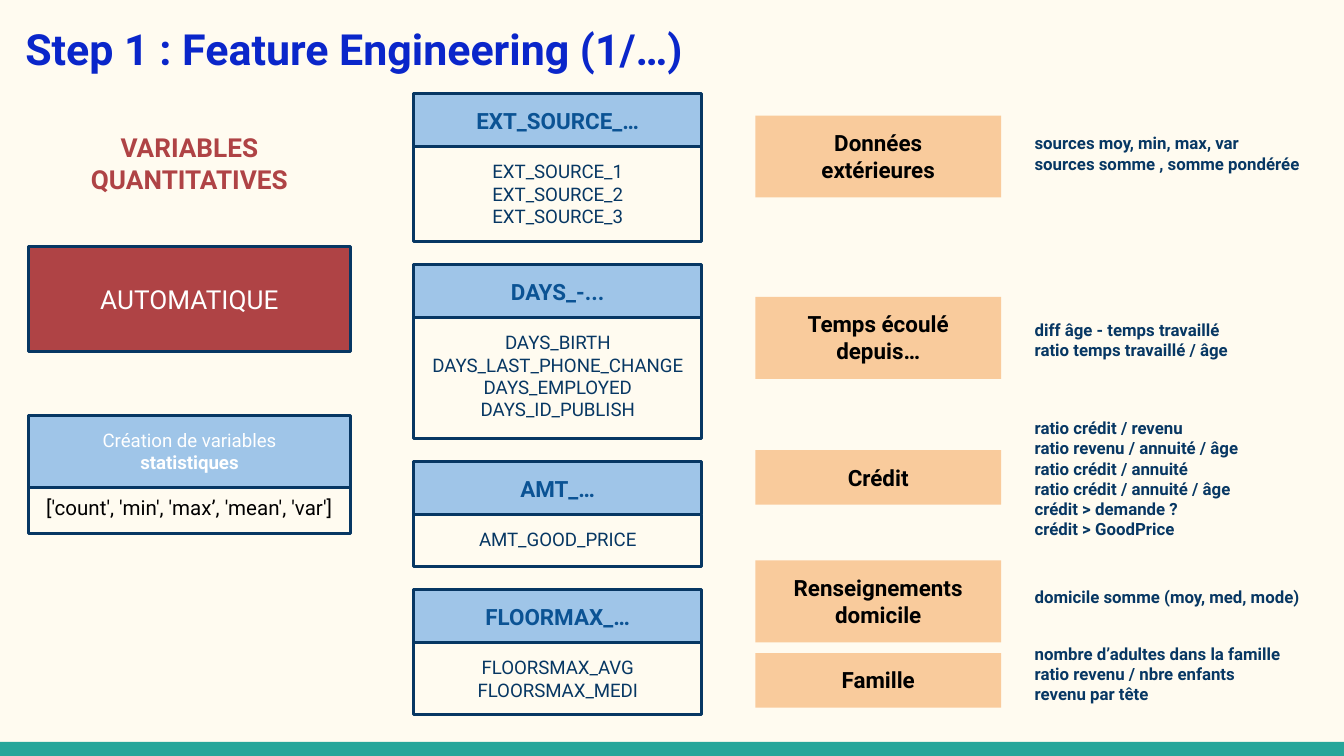
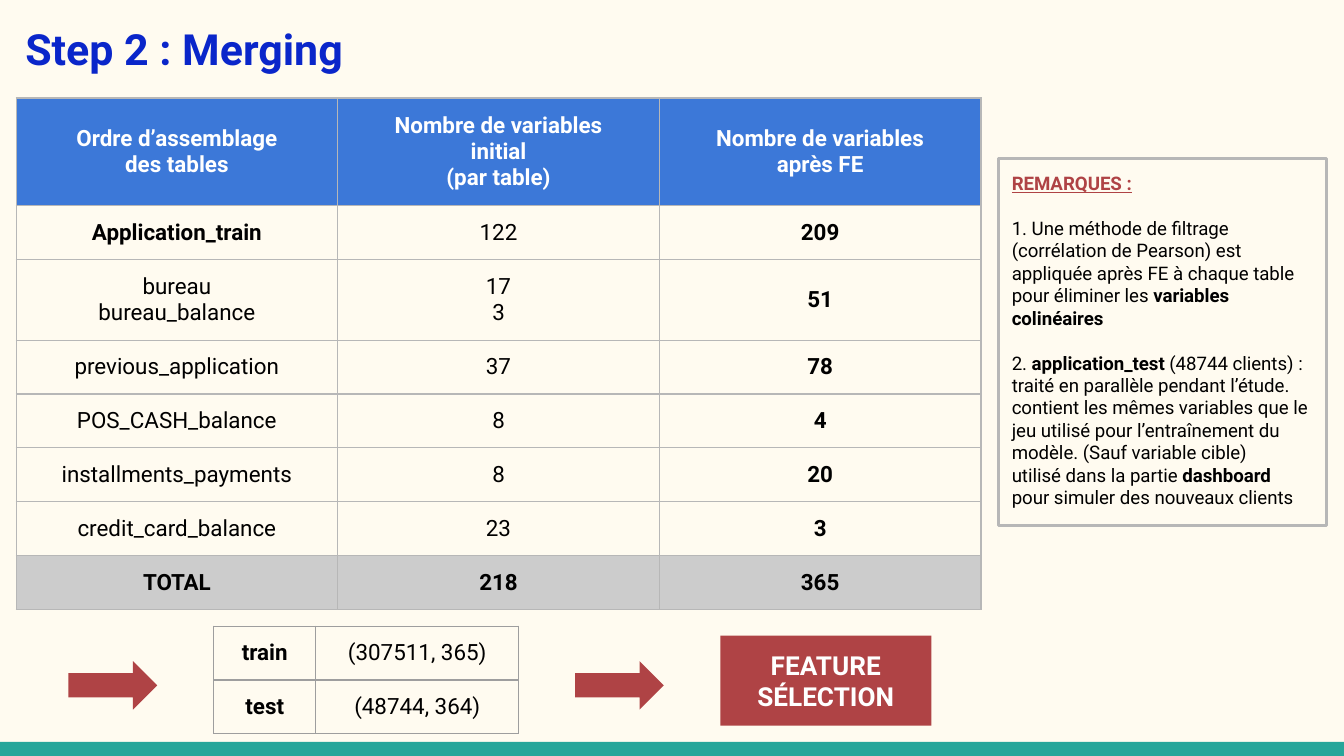
from dataclasses import dataclass, replace
from typing import NamedTuple, Optional

from lxml import etree
from pptx import Presentation, slide as sl, table as tb
from pptx import util as u
from pptx.dml.color import RGBColor
from pptx.enum import shapes, text
from pptx.oxml import ns
from pptx.shapes import autoshape, shapetree
from pptx.text import text as tx

# Grid: 100 columns by 56.25 rows on a 10 x 5.625 inch slide
COLUMNS, ROWS = 100, 56.25
UNIT = u.Inches(10) // COLUMNS

CREAM = RGBColor(0xFF, 0xFB, 0xF0)
TEAL = RGBColor(0x26, 0xA6, 0x9A)
TITLE_BLUE = RGBColor(0x0A, 0x26, 0xCA)
NAVY = RGBColor(0x07, 0x37, 0x63)
MID_BLUE = RGBColor(0x0B, 0x53, 0x94)
SKY = RGBColor(0x9F, 0xC5, 0xE8)
HEADER_BLUE = RGBColor(0x3C, 0x78, 0xD8)
BRICK = RGBColor(0xAF, 0x43, 0x45)
PEACH = RGBColor(0xF9, 0xCB, 0x9C)
SILVER = RGBColor(0xB7, 0xB7, 0xB7)
GREY = RGBColor(0x9E, 0x9E, 0x9E)
TOTAL_GREY = RGBColor(0xCC, 0xCC, 0xCC)
WHITE = RGBColor(0xFF, 0xFF, 0xFF)
BLACK = RGBColor(0, 0, 0)

LEFT, CENTER = text.PP_ALIGN.LEFT, text.PP_ALIGN.CENTER
TOP, MIDDLE = text.MSO_ANCHOR.TOP, text.MSO_ANCHOR.MIDDLE
RECTANGLE = shapes.MSO_SHAPE.RECTANGLE
ARROW = shapes.MSO_SHAPE.RIGHT_ARROW
MARGINS = ("margin_left", "margin_right", "margin_top", "margin_bottom")


class Area(NamedTuple):
    column: float
    row: float
    columns: float
    rows: float

    def lengths(self) -> tuple[int, ...]:
        return tuple(round(value * UNIT) for value in self)


@dataclass(frozen=True)
class Style:
    size: float
    color: RGBColor
    bold: bool = False
    align: text.PP_ALIGN = CENTER
    anchor: text.MSO_ANCHOR = TOP


@dataclass(frozen=True)
class Card:
    heading: str
    variables: tuple[str, ...]
    body_rows: float


@dataclass(frozen=True)
class Theme:
    label: tuple[str, ...]
    label_row: float
    features: tuple[str, ...]
    features_row: float
    features_columns: float


TITLE = Style(23, TITLE_BLUE, True, LEFT)
CARD_HEADING = Style(12, MID_BLUE, True)
CARD_BODY = Style(10, NAVY)
THEME_LABEL = Style(12, BLACK, True)
FEATURES = Style(9, NAVY, True, LEFT)
REMARKS_STYLE = Style(10, BLACK, False, LEFT)
CELL = Style(12, BLACK, False, CENTER, MIDDLE)
CALLOUT = Style(14, WHITE, True)

CARDS = (
    Card("EXT_SOURCE_…", ("EXT_SOURCE_1", "EXT_SOURCE_2", "EXT_SOURCE_3"), 7.1),
    Card("DAYS_-...", ("DAYS_BIRTH", "DAYS_LAST_PHONE_CHANGE", "DAYS_EMPLOYED",
                       "DAYS_ID_PUBLISH"), 9),
    Card("AMT_…", ("AMT_GOOD_PRICE",), 3.93),
    Card("FLOORMAX_…", ("FLOORSMAX_AVG", "FLOORSMAX_MEDI"), 5.35),
)

THEMES = (
    Theme(("Données", "extérieures"), 8.6,
          ("sources moy, min, max, var", "sources somme , somme pondérée"), 8.9, 23.3),
    Theme(("Temps écoulé", "depuis…"), 22.1,
          ("diff âge - temps travaillé", "ratio temps travaillé / âge"), 22.8, 20.6),
    Theme(("Crédit",), 33.5,
          ("ratio crédit / revenu", "ratio revenu / annuité / âge",
           "ratio crédit / annuité", "ratio crédit / annuité / âge",
           "crédit > demande ?", "crédit > GoodPrice"), 30.1, 20.6),
    Theme(("Renseignements", "domicile"), 41.7,
          ("domicile somme (moy, med, mode)",), 42.9, 24),
    Theme(("Famille",), 48.6,
          ("nombre d’adultes dans la famille", "ratio revenu / nbre enfants",
           "revenu par tête"), 46.9, 22.5),
)

# Cell lines are split at "\n"; text between ** pairs is bold
MERGE_ROWS = (
    ("**Ordre d’assemblage**\n**des tables**",
     "**Nombre de variables**\n**initial**\n**(par table)**",
     "**Nombre de variables**\n**après FE**"),
    ("**Application_train**", "122", "**209**"),
    ("bureau\nbureau_balance", "17\n3", "**51**"),
    ("previous_application", "37", "**78**"),
    ("POS_CASH_balance", "8", "**4**"),
    ("installments_payments", "8", "**20**"),
    ("credit_card_balance", "23", "**3**"),
    ("**TOTAL**", "**218**", "**365**"),
)
SHAPE_ROWS = (("**train**", "(307511, 365)"), ("**test**", "(48744, 364)"))

REMARKS = (
    "REMARQUES :",
    "1. Une méthode de filtrage",
    "(corrélation de Pearson) est",
    "appliquée après FE à chaque table",
    "pour éliminer les **variables**",
    "**colinéaires**",
    "2. **application_test **(48744 clients) :",
    "traité en parallèle pendant l’étude.",
    "contient les mêmes variables que le",
    "jeu utilisé pour l’entraînement du",
    "modèle. (Sauf variable cible)",
    "utilisé dans la partie **dashboard**",
    "pour simuler des nouveaux clients",
)


def set_values(target: object, values: dict[str, object]) -> None:
    for name, value in values.items():
        setattr(target, name, value)


def height_of(lines: int, leading: float) -> float:
    """Rows taken by some lines of text and the two insets."""
    return 2 + lines * leading


def write(frame: tx.TextFrame, lines: tuple[str, ...], style: Style) -> None:
    """Write one paragraph a line; text between ** pairs switches weight."""
    for number, line in enumerate(lines):
        paragraph = frame.paragraphs[0] if number == 0 else frame.add_paragraph()
        paragraph.alignment = style.align
        for index, piece in enumerate(line.split("**")):
            if piece:
                run = paragraph.add_run()
                run.text = piece
                set_values(run.font, {"name": "Roboto", "size": u.Pt(style.size),
                                      "bold": style.bold != (index % 2 == 1)})
                run.font.color.rgb = style.color


def write_box(frame: tx.TextFrame, lines: tuple[str, ...], style: Style) -> None:
    set_values(frame, {"word_wrap": True, "vertical_anchor": style.anchor,
                       **dict.fromkeys(MARGINS, UNIT)})
    write(frame, lines, style)


def add_text(slide: sl.Slide, area: Area, lines: tuple[str, ...], style: Style) -> None:
    write_box(slide.shapes.add_textbox(*area.lengths()).text_frame, lines, style)


def add_block(parent: shapetree._BaseGroupShapes, area: Area,
              fill: Optional[RGBColor] = None, line: Optional[RGBColor] = None,
              lines: tuple[str, ...] = (), style: Style = CELL,
              preset: shapes.MSO_SHAPE = RECTANGLE) -> autoshape.Shape:
    block = parent.add_shape(preset, *area.lengths())
    block.shadow.inherit = False
    if fill is None:
        block.fill.background()
    else:
        block.fill.solid()
        block.fill.fore_color.rgb = fill
    if line is None:
        block.line.fill.background()
    else:
        block.line.color.rgb = line
        block.line.width = u.Pt(1.5)
    if lines:
        write_box(block.text_frame, lines, style)
    return block


def add_borders(cell: tb._Cell, color: RGBColor) -> None:
    properties = cell._tc.get_or_add_tcPr()
    for index, side in enumerate(("a:lnL", "a:lnR", "a:lnT", "a:lnB")):
        border = etree.Element(ns.qn(side), w=str(u.Pt(0.75)))
        fill = etree.SubElement(border, ns.qn("a:solidFill"))
        etree.SubElement(fill, ns.qn("a:srgbClr"), val=str(color))
        properties.insert(index, border)


def add_grid(slide: sl.Slide, column: float, row: float, widths: tuple[float, ...],
             content: tuple[tuple[str, ...], ...], border: RGBColor,
             row_looks: dict[int, tuple[RGBColor, RGBColor]], style: Style) -> None:
    """Add a table; row_looks gives a row's fill and text colour."""
    heights = [height_of(max(value.count("\n") + 1 for value in values), 1.95)
               for values in content]
    area = Area(column, row, sum(widths), sum(heights))
    table = slide.shapes.add_table(len(content), len(widths), *area.lengths()).table
    set_values(table, {"first_row": False, "horz_banding": False})
    for grid_column, width in zip(table.columns, widths):
        grid_column.width = round(width * UNIT)
    for r, (values, height) in enumerate(zip(content, heights)):
        table.rows[r].height = round(height * UNIT)
        fill, color = row_looks.get(r, (None, style.color))
        for c, value in enumerate(values):
            cell = table.cell(r, c)
            set_values(cell, {"vertical_anchor": style.anchor,
                              **dict.fromkeys(MARGINS, UNIT)})
            write(cell.text_frame, tuple(value.split("\n")), replace(style, color=color))
            if fill is None:
                cell.fill.background()
            else:
                cell.fill.solid()
                cell.fill.fore_color.rgb = fill
            add_borders(cell, border)


def start_slide(deck: Presentation, title: str) -> sl.Slide:
    slide = deck.slides.add_slide(deck.slide_layouts[6])
    add_block(slide.shapes, Area(0, 55.2, COLUMNS, ROWS - 55.2), TEAL)
    add_text(slide, Area(0.9, 0.7, 83.7, 6.3), (title,), TITLE)
    return slide


def build_features(deck: Presentation) -> None:
    slide = start_slide(deck, "Step 1 : Feature Engineering (1/…)")

    # Quantitative variables
    add_text(slide, Area(4.1, 8.8, 20, 6.7), ("VARIABLES QUANTITATIVES",),
             Style(14, BRICK, True))
    add_block(slide.shapes, Area(2.1, 18.35, 24, 7.8), BRICK, NAVY, ("AUTOMATIQUE",),
              Style(14, WHITE, anchor=MIDDLE))
    statistics = slide.shapes.add_group_shape().shapes
    add_block(statistics, Area(2.1, 35.8, 24, 3.9), None, NAVY,
              ("['count', 'min', 'max’, 'mean', 'var']",), Style(11, BLACK))
    add_block(statistics, Area(2.1, 30.9, 24, 5.4), SKY, NAVY,
              ("Création de variables", "**statistiques**"), Style(10, WHITE))

    # Cards of source variables, stacked with equal gaps
    row, heading_rows, gap = 6.97, 3.93, 1.7
    for card in CARDS:
        group = slide.shapes.add_group_shape().shapes
        add_block(group, Area(30.8, row, 21.4, heading_rows), SKY, NAVY,
                  (card.heading,), CARD_HEADING)
        add_block(group, Area(30.8, row + heading_rows, 21.4, card.body_rows), None,
                  NAVY, card.variables, CARD_BODY)
        row += heading_rows + card.body_rows + gap

    # Themes and the features made for them
    for theme in THEMES:
        label_rows = height_of(len(theme.label), 2.05)
        add_block(slide.shapes, Area(56.2, theme.label_row, 18.3, label_rows), PEACH,
                  lines=theme.label, style=THEME_LABEL)
        features_rows = height_of(len(theme.features), 1.52)
        add_text(slide, Area(76, theme.features_row, theme.features_columns,
                             features_rows), theme.features, FEATURES)


def build_merging(deck: Presentation) -> None:
    slide = start_slide(deck, "Step 2 : Merging")
    add_grid(slide, 1.2, 7.3, (23.93,) * 3, MERGE_ROWS, SILVER,
             {0: (HEADER_BLUE, WHITE), len(MERGE_ROWS) - 1: (TOTAL_GREY, BLACK)}, CELL)

    # Remarks
    remarks = add_block(slide.shapes, Area(74.3, 11.8, 24.4, 27.3), None, SILVER,
                        REMARKS, REMARKS_STYLE).text_frame
    heading = remarks.paragraphs[0].runs[0].font
    set_values(heading, {"bold": True, "underline": True})
    heading.color.rgb = BRICK
    for paragraph in remarks.paragraphs:
        if paragraph.text.startswith(("1.", "2.")):
            paragraph.space_before = u.Pt(12)

    # Resulting data sets and next step
    add_grid(slide, 15.9, 46.6, (7.6, 15.1), SHAPE_ROWS, GREY, {},
             replace(CELL, anchor=TOP))
    for column in (5.1, 42.8):
        add_block(slide.shapes, Area(column, 49.2, 6.6, 3.6), BRICK, preset=ARROW)
    add_block(slide.shapes, Area(53.6, 47.3, 15.7, 6.7), BRICK,
              lines=("FEATURE", "SÉLECTION"), style=CALLOUT)


def main() -> None:
    deck = Presentation()
    set_values(deck, {"slide_width": COLUMNS * UNIT, "slide_height": round(ROWS * UNIT)})
    background = deck.slide_master.background.fill
    background.solid()
    background.fore_color.rgb = CREAM
    build_features(deck)
    build_merging(deck)
    deck.save("out.pptx")


if __name__ == "__main__":
    main()
